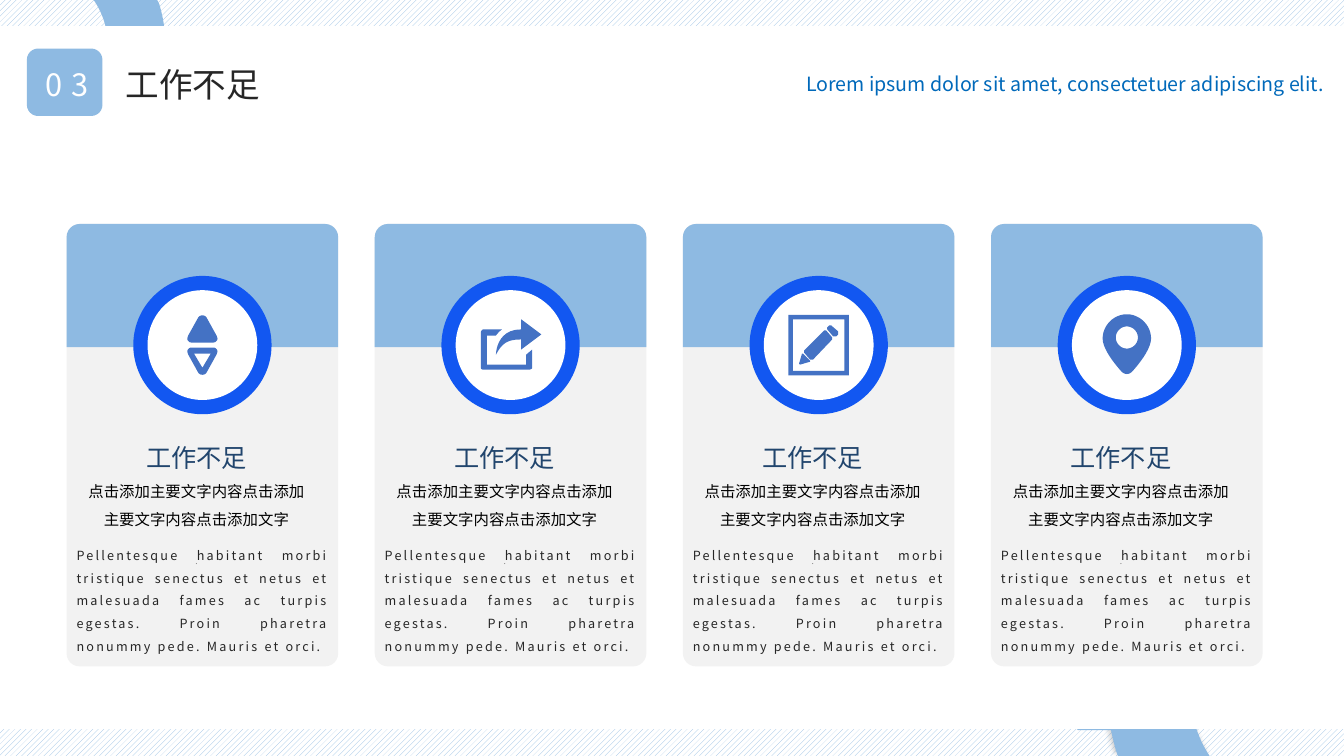
from pptx import Presentation
from pptx.dml.color import RGBColor
from pptx.enum.dml import MSO_PATTERN
from pptx.enum.shapes import MSO_SHAPE
from pptx.enum.text import MSO_ANCHOR, MSO_AUTO_SIZE, PP_ALIGN
from pptx.oxml import parse_xml
from pptx.oxml.ns import nsdecls
from pptx.util import Pt

FONT = "Noto Sans CJK SC"
SKY, BLUE, ICON, GREY, WHITE, INK = "8EBAE2", "1257F1", "4472C4", "F2F2F2", "FFFFFF", "262626"
HEADING = "工作不足"
SUMMARY = "点击添加主要文字内容点击添加主要文字内容点击添加文字"
DETAIL = ("Pellentesque habitant morbi tristique senectus et netus et malesuada fames ac "
          "turpis egestas. Proin pharetra nonummy pede. Mauris et orci.")
FIRST_CARD, CARD_PITCH, CARD_TOP, CARD_WIDTH = 47.6, 220.1, 160, 194

# Outlines: a pair is a straight step, six numbers are a cubic curve
TOP_ARC = [[(67, 0), (112.3, 0), (113.8, 2.9), (116.6, 12.2, 118.1, 21.6, 118.1, 32.4),
            (118.1, 86.4, 74.2, 130.3, 19.4, 130.3), (9.4, 130.3), (0, 128.9), (0, 85.7),
            (2.9, 86.4), (7.9, 88.6, 13.7, 89.3, 19.4, 89.3),
            (51.1, 89.3, 77, 63.4, 77, 32.4), (77, 20.2, 73.4, 9.4, 67, 0)]]
BOTTOM_ARC = [[(864, 540), (798.5, 540), (797, 535.7), (793.4, 522.7, 790.6, 508.3, 790.6, 493.9),
               (790.6, 416.2, 853.9, 352.8, 931.7, 352.8), (946.1, 353.5), (959.8, 355.7),
               (959.8, 416.9), (956.2, 415.4), (948.2, 413.3, 940.3, 411.8, 931.7, 411.8),
               (886.3, 411.8, 850.3, 448.6, 850.3, 493.9), (850.3, 511.2, 855.4, 527, 864, 540)]]


def square(half):
    return [(-half, -half), (half, -half), (half, half), (-half, half)]


# Icons, measured from the centre of their circle
LOWER_ARROW = [(-7.9, 1.8), (7.9, 1.8), (9.4, 1.8, 10.8, 3.2, 10.8, 4.7), (10.1, 6.8),
               (2.9, 19.8), (1.5, 21.7, -1.5, 21.7, -2.9, 19.8), (-10.1, 6.8), (-10.8, 4.7),
               (-10.8, 3.2, -9.4, 1.8, -7.9, 1.8)]
UPPER_ARROW = [tuple(-v if i % 2 else v for i, v in enumerate(step)) for step in LOWER_ARROW]
SORT = [LOWER_ARROW, [(0, 16.2), (6, 6.1), (-6, 6.1)], UPPER_ARROW]
SHARE = [
    [(11.2, 14), (-16.9, 14), (-16.9, -6.8), (-10.4, -6.8), (-10.4, -6.8, -9, -9, -6.1, -11.2),
     (-19.1, -11.2), (-20.5, -11.2, -21.2, -9.7, -21.2, -9), (-21.2, 16.2),
     (-21.2, 16.9, -20.5, 17.6, -19.1, 17.6), (13.3, 17.6),
     (14, 17.6, 15.5, 16.9, 15.5, 16.2), (15.5, 3.2), (11.2, 6.8)],
    [(7.6, -4), (7.6, 3.2), (22, -7.6), (7.6, -18.4), (7.6, -11.2),
     (-10.4, -11.2, -10.4, 6.8, -10.4, 6.8), (-6.1, -1.1, -2.5, -4, 7.6, -4)]]
PENCIL = [
    square(21.6), square(18.4),
    [(4, -10.4), (-10.4, 4), (-10.4, 5.4), (-6.1, 10.4), (-4, 10.4), (9.7, -4), (9.7, -5.4),
     (5.4, -10.4)],
    [(9, -14), (14, -9.7), (14, -7.6), (12.6, -6.1), (10.4, -6.1), (6.1, -11.2),
     (6.1, -12.6), (7.6, -14)],
    [(-11.2, 6.1), (-6.1, 11.2), (-6.1, 11.9), (-13.3, 14), (-14, 13.3), (-11.9, 6.1)]]
PIN = [
    [(0, -22), (-9.4, -22, -17.3, -14, -17.3, -4.7), (-17.3, 4.7, -3.6, 19.1, -3.6, 19.1),
     (-1.4, 21.2, 1.4, 21.2, 3.6, 19.1), (3.6, 19.1, 17.3, 4.7, 17.3, -4.7),
     (17.3, -14, 9.4, -22, 0, -22)],
    [(0, 2.5), (-4.3, 2.5, -7.9, -1.1, -7.9, -5.4), (-7.9, -9.7, -4.3, -13.3, 0, -13.3),
     (4.3, -13.3, 7.9, -9.7, 7.9, -5.4), (7.9, -1.1, 4.3, 2.5, 0, 2.5)]]


def color(hex_code):
    return RGBColor.from_string(hex_code)


def paint(shape, fill, line=None):
    shape.shadow.inherit = False
    if fill:
        shape.fill.solid()
        shape.fill.fore_color.rgb = color(fill)
    else:
        shape.fill.background()
    if line:
        shape.line.color.rgb = color(line)
        shape.line.width = Pt(1)
    else:
        shape.line.fill.background()
    return shape


def add_block(slide, kind, left, top, width, height, fill, corners=()):
    block = slide.shapes.add_shape(kind, Pt(left), Pt(top), Pt(width), Pt(height))
    for i, corner in enumerate(corners):
        block.adjustments[i] = corner
    return paint(block, fill)


def flatten(contour, steps=12):
    points = [contour[0]]
    for step in contour[1:]:
        if len(step) == 2:
            points.append(step)
            continue
        nodes = [points[-1], step[:2], step[2:4], step[4:]]
        for i in range(1, steps + 1):
            t = i / steps
            weights = ((1 - t) ** 3, 3 * t * (1 - t) ** 2, 3 * t * t * (1 - t), t ** 3)
            points.append(tuple(sum(w * n[axis] for w, n in zip(weights, nodes))
                                for axis in (0, 1)))
    return points


def add_outline(slide, contours, dx, dy, fill, line=None):
    builder = None
    for contour in contours:
        points = [((x + dx) * 100, (y + dy) * 100) for x, y in flatten(contour)]
        if builder is None:
            builder = slide.shapes.build_freeform(*points[0], scale=Pt(1) / 100)
        else:
            builder.move_to(*points[0])
        builder.add_line_segments(points[1:], close=True)
    return paint(builder.convert_to_shape(), fill, line)


def add_run(paragraph, text, size, hex_code, spacing=0):
    run = paragraph.add_run()
    run.text = text
    run.font.size = Pt(size)
    run.font.name = FONT
    run.font.color.rgb = color(hex_code)
    properties = run.font._element
    properties.append(parse_xml(f'<a:ea {nsdecls("a")} typeface="{FONT}"/>'))
    if spacing:
        properties.set("spc", str(round(spacing * 100)))


def place(box, left, top, width, height):
    box.left, box.top, box.width, box.height = Pt(left), Pt(top), Pt(width), Pt(height)


def format_frame(frame, align, anchor=MSO_ANCHOR.TOP, inset=None, leading=None):
    frame.word_wrap = True
    frame.auto_size = MSO_AUTO_SIZE.NONE
    frame.vertical_anchor = anchor
    if inset is not None:
        frame.margin_left = frame.margin_right = frame.margin_top = frame.margin_bottom = Pt(inset)
    paragraph = frame.paragraphs[0]
    paragraph.alignment = align
    if leading:
        paragraph.line_spacing = leading
    return paragraph


def add_text(slide, left, top, width, height, align, **options):
    box = slide.shapes.add_textbox(Pt(left), Pt(top), Pt(width), Pt(height))
    return box.text_frame, format_frame(box.text_frame, align, **options)


def add_backdrop(slide):
    stripes = add_block(slide, MSO_SHAPE.RECTANGLE, 0, 0, 960, 540, WHITE)
    stripes.fill.patterned()
    stripes.fill.pattern = MSO_PATTERN.WIDE_UPWARD_DIAGONAL
    stripes.fill.fore_color.rgb = color(SKY)
    stripes.fill.back_color.rgb = color(WHITE)
    add_outline(slide, TOP_ARC, 0, 0, SKY)
    arc = add_outline(slide, BOTTOM_ARC, 0, 0, SKY)
    arc.element.spPr.find("{*}effectLst").append(parse_xml(
        f'<a:outerShdw {nsdecls("a")} blurRad="{Pt(4)}" dist="{Pt(3)}" dir="13500000">'
        '<a:srgbClr val="000000"><a:alpha val="20000"/></a:srgbClr></a:outerShdw>'))
    add_outline(slide, BOTTOM_ARC, -28.4, -18.9, None, SKY)
    add_block(slide, MSO_SHAPE.RECTANGLE, 0, 18.7, 960, 502, WHITE)


def add_header(slide):
    add_block(slide, MSO_SHAPE.ROUNDED_RECTANGLE, 19.2, 34.7, 54, 48.2, SKY)
    title = slide.shapes.title
    slide.shapes.element.append(title.element)  # bring above the backdrop
    place(title, 82.6, 41.8, 166, 36)
    add_run(format_frame(title.text_frame, PP_ALIGN.LEFT, MSO_ANCHOR.MIDDLE), HEADING, 24, INK)
    _, tagline = add_text(slide, 563, 47.5, 396, 24.5, PP_ALIGN.CENTER, inset=3.6)
    add_run(tagline, "Lorem ipsum dolor sit amet, consectetuer adipiscing elit.", 14, "0069BA")
    _, number = add_text(slide, 11.5, 35.3, 72.7, 50.4, PP_ALIGN.CENTER, anchor=MSO_ANCHOR.MIDDLE)
    add_run(number, "03", 22, WHITE, 6)


def add_card(slide, left, icon):
    add_block(slide, MSO_SHAPE.ROUNDED_RECTANGLE, left, CARD_TOP, CARD_WIDTH, 316, GREY, [0.048])
    add_block(slide, MSO_SHAPE.ROUND_2_SAME_RECTANGLE, left, CARD_TOP, CARD_WIDTH, 88, SKY,
              [0.107, 0])
    # Ring and icon
    center_x, center_y = left + CARD_WIDTH / 2, 246.5
    for size, fill in ((98.8, BLUE), (78.4, WHITE)):
        add_block(slide, MSO_SHAPE.OVAL, center_x - size / 2, center_y - size / 2, size, size, fill)
    add_outline(slide, icon, center_x, center_y, ICON)
    # Heading, summary and closing dot
    frame, summary = add_text(slide, left + 13.6, 305.3, 158.4, 106, PP_ALIGN.CENTER,
                              inset=0, leading=1.5)
    add_run(summary, HEADING, 18, "21456D")
    summary.add_line_break()
    add_run(summary, SUMMARY, 11, "000000")
    dot = frame.add_paragraph()
    dot.alignment = PP_ALIGN.CENTER
    dot.space_before = Pt(20)
    add_run(dot, ".", 6, "808080")
    # Detail text
    _, detail = add_text(slide, left, 382.3, CARD_WIDTH, 87, PP_ALIGN.JUSTIFY, leading=1.5)
    add_run(detail, DETAIL, 9, INK, 1.6)


def main():
    deck = Presentation()
    deck.slide_width, deck.slide_height = Pt(960), Pt(540)
    slide = deck.slides.add_slide(deck.slide_layouts[5])
    add_backdrop(slide)
    add_header(slide)
    for i, icon in enumerate((SORT, SHARE, PENCIL, PIN)):
        add_card(slide, FIRST_CARD + i * CARD_PITCH, icon)
    deck.save("out.pptx")


if __name__ == "__main__":
    main()
